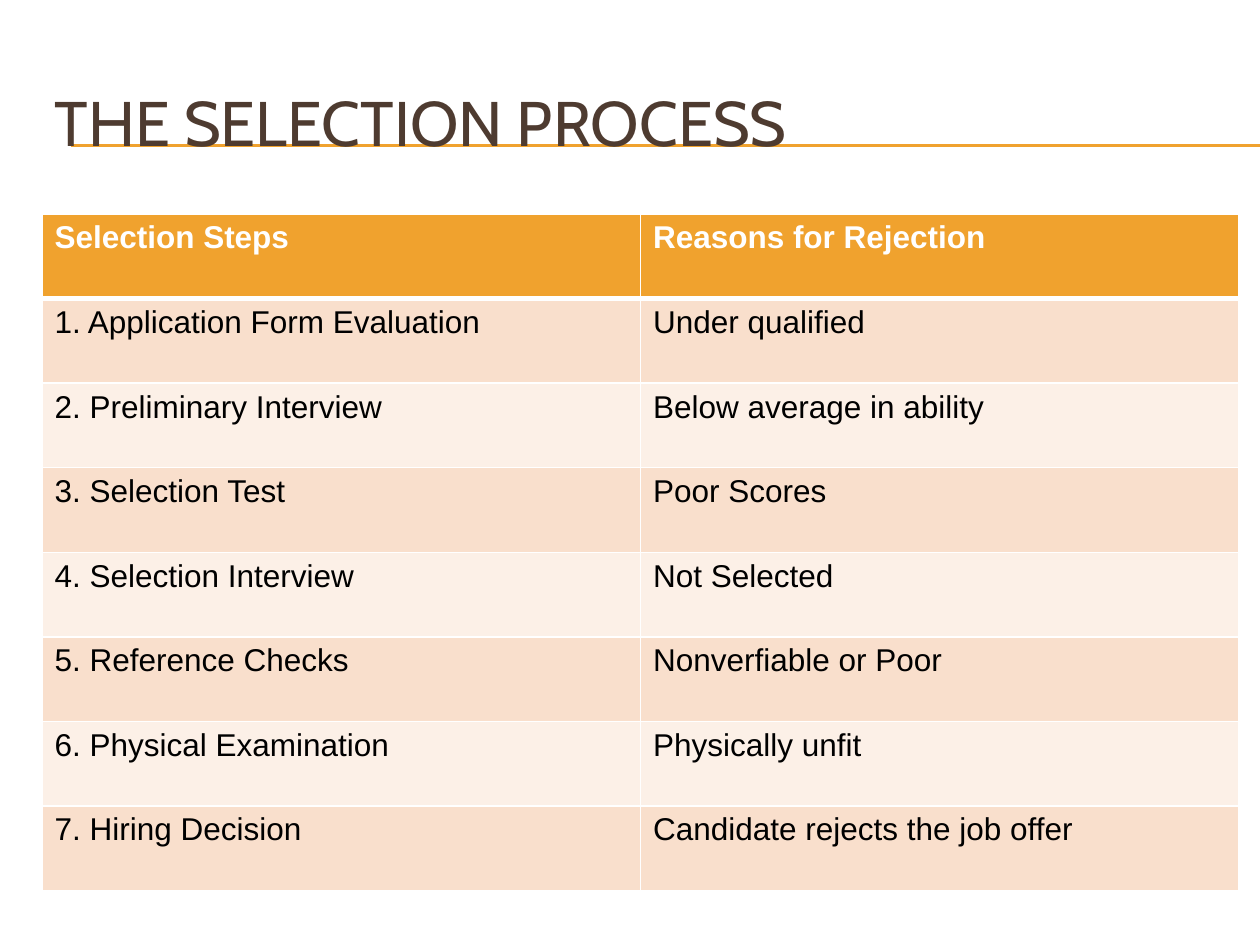
from lxml.etree import SubElement
from pptx import Presentation
from pptx.dml.color import RGBColor
from pptx.enum.shapes import MSO_CONNECTOR as Connector
from pptx.enum.text import MSO_ANCHOR as Anchor, MSO_AUTO_SIZE as AutoSize, PP_ALIGN as Align
from pptx.oxml import parse_xml
from pptx.oxml.ns import nsdecls, qn
from pptx.util import Emu, Pt

PX_PER_INCH = 126
ORANGE, BROWN, WHITE, BLACK = "F0A22E", "4E3B30", "FFFFFF", "000000"
BANDS = ("F9DFCC", "FCF0E7")

HEADER = ("Selection Steps", "Reasons for Rejection")
STEPS = [
    ("1. Application Form Evaluation", "Under qualified"),
    ("2. Preliminary Interview", "Below average in ability"),
    ("3. Selection Test", "Poor Scores"),
    ("4. Selection Interview", "Not Selected"),
    ("5. Reference Checks", "Nonverfiable or Poor"),
    ("6. Physical Examination", "Physically unfit"),
    ("7. Hiring Decision", "Candidate rejects the job offer"),
]


def px(length):
    return Emu(round(length * 914400 / PX_PER_INCH))


def color(value):
    return RGBColor.from_string(value)


def add_run(paragraph, text, font, size, text_color, bold=False):
    run = paragraph.add_run()
    run.text = text
    run.font.name = font
    run.font.size = Pt(size)
    run.font.bold = bold
    run.font.color.rgb = color(text_color)


def add_rule(slide, left, right, y):
    rule = slide.shapes.add_connector(Connector.STRAIGHT, px(left), px(y), px(right), px(y))
    rule.line.color.rgb = color(ORANGE)
    rule.line.width = Pt(0.75)
    SubElement(rule._element.spPr, qn("a:effectLst"))
    return rule


def set_title(slide, text, left, top, width, height):
    title = slide.shapes.title
    title.left, title.top, title.width, title.height = map(px, (left, top, width, height))
    frame = title.text_frame
    frame.auto_size = AutoSize.NONE
    frame.vertical_anchor = Anchor.MIDDLE
    paragraph = frame.paragraphs[0]
    paragraph.alignment = Align.LEFT
    add_run(paragraph, text, "Cabin", 36, BROWN)
    return title


def set_borders(cell, widths):
    properties = cell._tc.get_or_add_tcPr()
    for index, (side, width) in enumerate(widths.items()):
        properties.insert(index, parse_xml(
            f'<a:ln{side} {nsdecls("a")} w="{Pt(width)}"><a:solidFill>'
            f'<a:srgbClr val="{WHITE}"/></a:solidFill></a:ln{side}>'))


def add_steps_table(slide, left, top, width, height):
    rows = [HEADER] + STEPS
    frame = slide.shapes.add_table(len(rows), len(HEADER), px(left), px(top), px(width), px(height))
    for row_index, row in enumerate(rows):
        is_header = row_index == 0
        fill = ORANGE if is_header else BANDS[(row_index - 1) % 2]
        top_width = 3 if row_index == 1 else 1
        bottom_width = 3 if is_header else 1
        for column_index, text in enumerate(row):
            cell = frame.table.cell(row_index, column_index)
            cell.fill.solid()
            cell.fill.fore_color.rgb = color(fill)
            set_borders(cell, {"L": 1, "R": 1, "T": top_width, "B": bottom_width})
            add_run(cell.text_frame.paragraphs[0], text, "Arial", 18,
                    WHITE if is_header else BLACK, is_header)


def main():
    presentation = Presentation()
    presentation.slide_width, presentation.slide_height = px(1260), px(945)
    slide = presentation.slides.add_slide(presentation.slide_layouts[5])

    # Double rule, with the title in front of it
    title = set_title(slide, "THE SELECTION PROCESS", 42, 63, 1197, 116)
    for y in (145, 146):
        rule = add_rule(slide, 71, 1260, y)
        title._element.addprevious(rule._element)

    # Steps and reasons
    add_steps_table(slide, 42, 214, 1197, 677)

    presentation.save("out.pptx")


if __name__ == "__main__":
    main()
